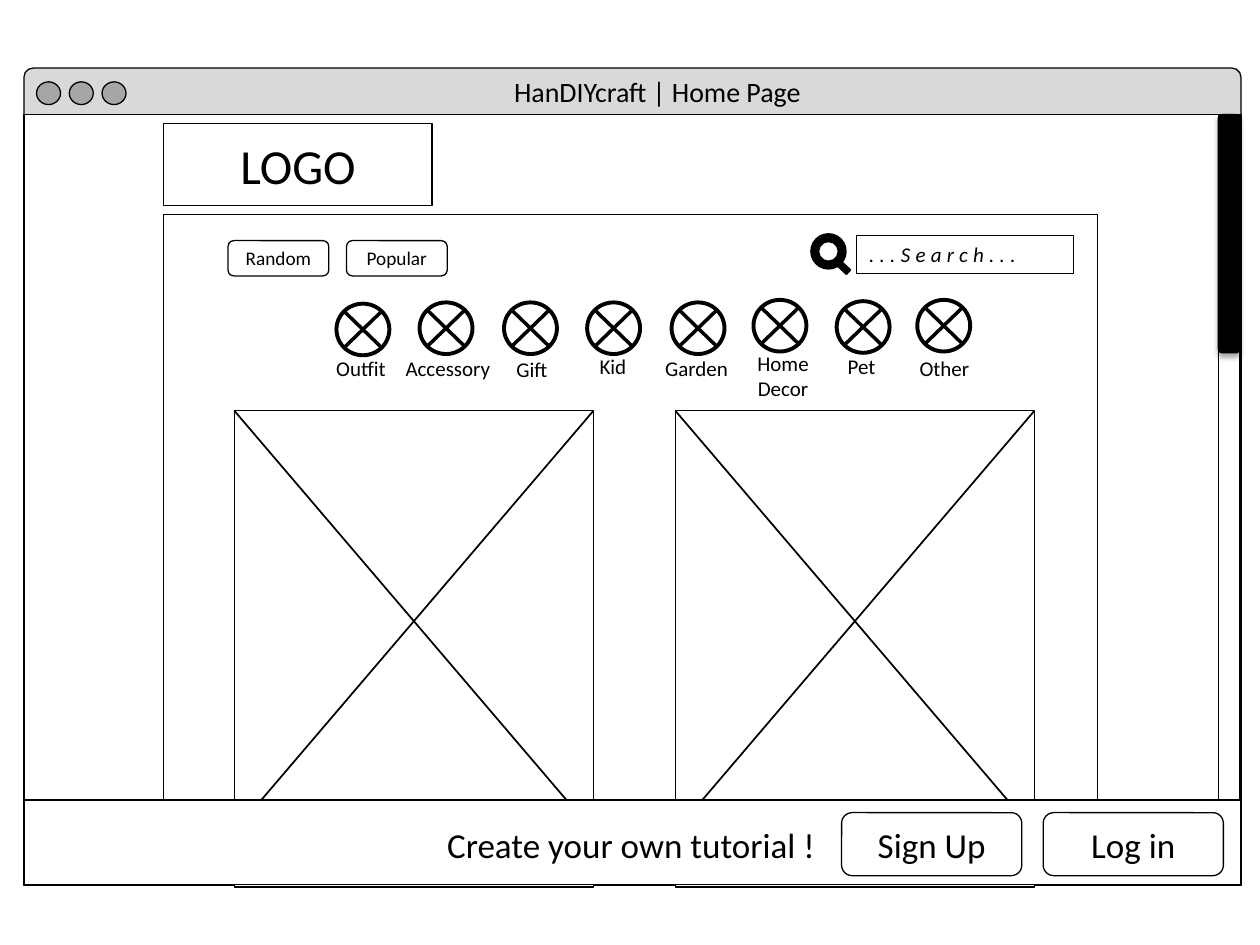
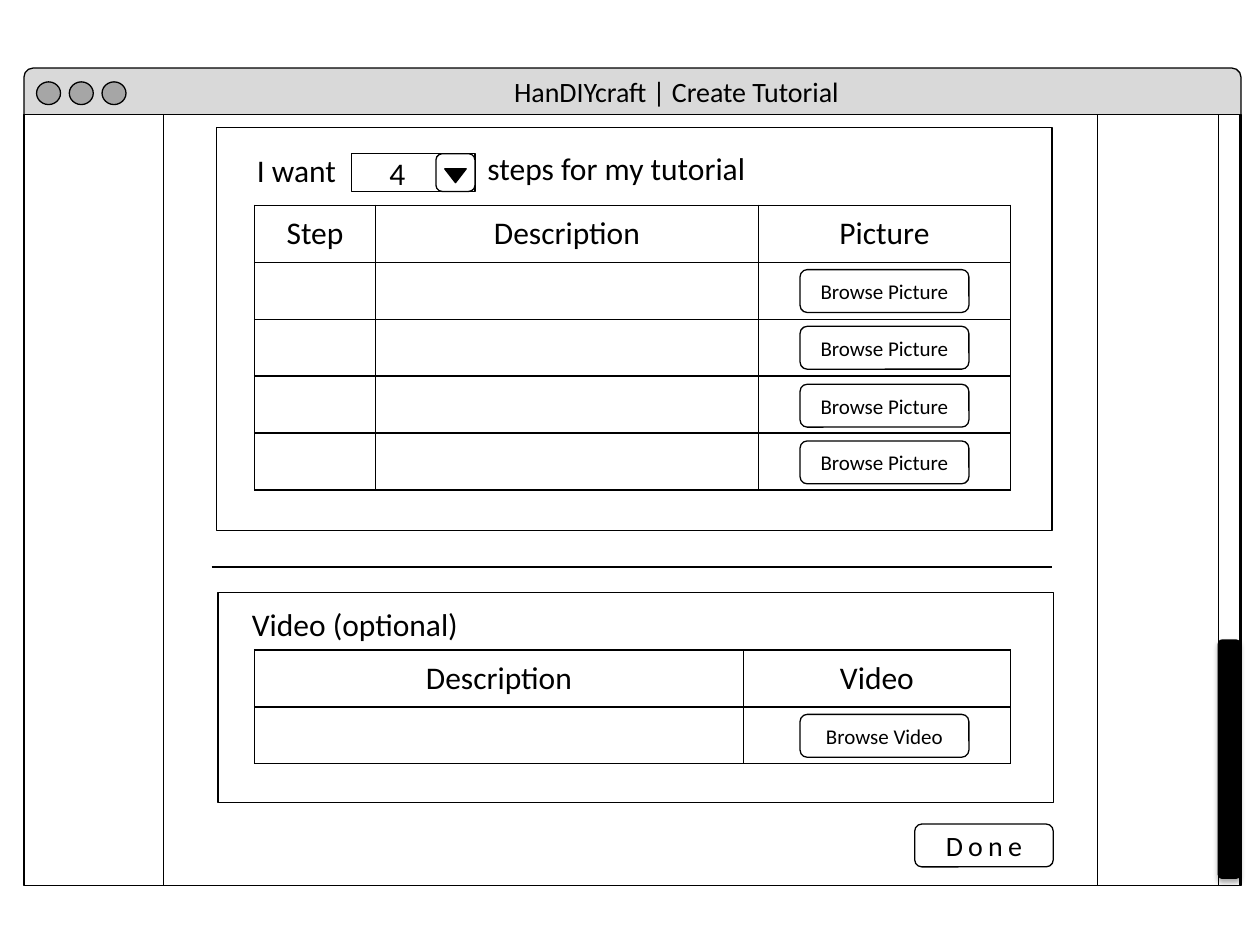
"""Build two wireframe slides of a craft site: its home page and its tutorial form."""
from lxml import etree
from pptx import Presentation
from pptx.dml.color import RGBColor
from pptx.enum.shapes import MSO_CONNECTOR, MSO_SHAPE
from pptx.enum.text import MSO_ANCHOR, MSO_AUTO_SIZE, PP_ALIGN
from pptx.oxml import parse_xml
from pptx.oxml.ns import nsdecls, qn
from pptx.util import Inches, Pt

FONT, BLACK, WHITE = "Calibri", "000000", "FFFFFF"
BAR, DOT = "D9D9D9", "A6A6A6"
RECT, ROUND, OVAL = MSO_SHAPE.RECTANGLE, MSO_SHAPE.ROUNDED_RECTANGLE, MSO_SHAPE.OVAL
LEFT, MID = PP_ALIGN.LEFT, PP_ALIGN.CENTER


def box(slide, kind, spot, fill=None, line=0.75, text="", size=12, align=MID, space=0):
    """Add a shape, or a text box when kind is None, at spot in inches."""
    place = [Inches(n) for n in spot]
    if kind is None:
        shape = slide.shapes.add_textbox(*place)
    else:
        shape = slide.shapes.add_shape(kind, *place)
        shape.shadow.inherit = False
        if fill:
            shape.fill.solid()
            shape.fill.fore_color.rgb = RGBColor.from_string(fill)
        else:
            shape.fill.background()
        if line:
            shape.line.color.rgb = RGBColor.from_string(BLACK)
            shape.line.width = Pt(line)
        else:
            shape.line.fill.background()
    if text:
        frame = shape.text_frame
        frame.text = text
        frame.word_wrap = kind is not None
        frame.vertical_anchor = MSO_ANCHOR.TOP if kind is None else MSO_ANCHOR.MIDDLE
        for par in frame.paragraphs:
            par.alignment = align
            for run in par.runs:
                run.font.name, run.font.size = FONT, Pt(size)
                run.font.color.rgb = RGBColor.from_string(BLACK)
                if space:
                    run.font._element.set("spc", str(space * 100))
    return shape


def rule(slide, x1, y1, x2, y2, width=1):
    """Add a straight black line between two points in inches."""
    line = slide.shapes.add_connector(
        MSO_CONNECTOR.STRAIGHT, Inches(x1), Inches(y1), Inches(x2), Inches(y2))
    line.line.color.rgb = RGBColor.from_string(BLACK)
    line.line.width = Pt(width)
    etree.SubElement(line.element.spPr, qn("a:effectLst"))


deck = Presentation()
deck.slide_width, deck.slide_height = Inches(10), Inches(7.5)

pages = []
for name, top, track, thumb in [
    ("HanDIYcraft | Home Page", 1.7, 5.44, 0.91),
    ("HanDIYcraft | Create Tutorial", 0.91, 6.12, 5.08),
]:
    slide = deck.slides.add_slide(deck.slide_layouts[5])
    pages.append(slide)
    box(slide, ROUND, (0.19, 0.54, 9.66, 0.44), BAR)
    box(slide, RECT, (0.19, 0.91, 9.66, 6.12), WHITE)
    for i in range(3):
        box(slide, OVAL, (0.29 + 0.26 * i, 0.65, 0.19, 0.18), DOT)
    box(slide, RECT, (1.3, top, 7.41, 7.03 - top), WHITE)
    box(slide, RECT, (9.67, 0.91, 0.17, track), WHITE)
    grip = box(slide, ROUND, (9.67, thumb, 0.17, 1.89), BLACK)
    grip.element.spPr.find(qn("a:effectLst")).append(parse_xml(
        f'<a:outerShdw {nsdecls("a")} blurRad="40000" dist="23000" dir="5400000" '
        'rotWithShape="0"><a:srgbClr val="000000"><a:alpha val="35000"/>'
        '</a:srgbClr></a:outerShdw>'))

    title = slide.shapes.title
    title.left, title.top = Inches(3.98), Inches(0.54)
    title.width, title.height = Inches(3), Inches(0.37)
    title.element.getparent().append(title.element)
    frame = title.text_frame
    frame.text = name
    frame.auto_size = MSO_AUTO_SIZE.NONE
    frame.word_wrap = True
    frame.vertical_anchor = MSO_ANCHOR.TOP
    frame.paragraphs[0].alignment = LEFT
    font = frame.paragraphs[0].runs[0].font
    font.name, font.size = FONT, Pt(16)
    font.color.rgb = RGBColor.from_string(BLACK)

home, form = pages

for x in (1.86, 5.36):
    box(home, RECT, (x, 3.26, 2.85, 3.78), WHITE)
    rule(home, x, 3.26, x + 2.85, 6.6)
    rule(home, x, 6.6, x + 2.85, 3.26)

box(home, RECT, (1.3, 0.98, 2.13, 0.65), WHITE, text="LOGO", size=28)
box(home, ROUND, (6.78, 1.89, 1.75, 0.38), WHITE, 0)
search = box(home, RECT, (6.8, 1.87, 1.72, 0.3), text="...Search...", align=LEFT, space=3)
search.text_frame.vertical_anchor = MSO_ANCHOR.TOP
search.text_frame.paragraphs[0].runs[0].font.italic = True
box(home, MSO_SHAPE.DONUT, (6.43, 1.85, 0.29, 0.29), BLACK, 0)
box(home, ROUND, (6.6, 2.08, 0.16, 0.06), BLACK, 0).rotation = 43.1
for x, word in [(1.81, "Random"), (2.75, "Popular")]:
    box(home, ROUND, (x, 1.91, 0.8, 0.28), text=word, size=11)

for word, x, y, left, top, width in [
    ("Outfit", 2.67, 2.41, 2.57, 2.77, 0.6),
    ("Accessory", 3.33, 2.4, 3.12, 2.77, 0.89),
    ("Gift", 4, 2.4, 4, 2.78, 0.45),
    ("Kid", 4.66, 2.4, 4.66, 2.76, 0.42),
    ("Garden", 5.33, 2.4, 5.18, 2.77, 0.71),
    ("Home\nDecor", 5.98, 2.38, 5.91, 2.73, 0.61),
    ("Pet", 6.64, 2.39, 6.63, 2.76, 0.43),
    ("Other", 7.28, 2.38, 7.2, 2.77, 0.6),
]:
    box(home, OVAL, (x, y, 0.42, 0.41), line=2.25)
    rule(home, x + 0.06, y + 0.06, x + 0.36, y + 0.35, 2)
    rule(home, x + 0.06, y + 0.35, x + 0.36, y + 0.06, 2)
    lines = "\n" in word
    box(home, None, (left, top, width, 0.5 if lines else 0.3), text=word,
        align=MID if lines else LEFT)

box(home, RECT, (0.19, 6.35, 9.66, 0.67), WHITE)
call = box(home, None, (3.45, 6.49, 3.42, 0.44), text="Create your own tutorial !",
           size=20, align=LEFT)
call.text_frame.word_wrap = True
for x, word in [(6.68, "Sign Up"), (8.28, "Log in")]:
    box(home, ROUND, (x, 6.45, 1.43, 0.5), text=word, size=20)

box(form, RECT, (1.72, 1.01, 6.63, 3.2))
box(form, RECT, (1.73, 4.7, 6.63, 1.67))
rule(form, 1.68, 4.5, 8.35, 4.5)

for top, high, count, heads in [
    (1.63, 2.26, 5, [("Step", 0.96), ("Description", 3.04), ("Picture", 2)]),
    (5.16, 0.9, 2, [("Description", 3.88), ("Video", 2.12)]),
]:
    grid = form.shapes.add_table(
        count, len(heads), Inches(2.02), Inches(top), Inches(6), Inches(high)).table
    grid.first_row = grid.horz_banding = False
    for col, (word, width) in enumerate(heads):
        grid.columns[col].width = Inches(width)
        grid.cell(0, col).text = word
    for cell in grid.iter_cells():
        cell.vertical_anchor = MSO_ANCHOR.MIDDLE
        cell.fill.solid()
        cell.fill.fore_color.rgb = RGBColor.from_string(WHITE)
        par = cell.text_frame.paragraphs[0]
        par.alignment = MID
        for run in par.runs:
            run.font.name, run.font.size, run.font.bold = FONT, Pt(18), False
            run.font.color.rgb = RGBColor.from_string(BLACK)
        for i, side in enumerate("LRTB"):
            cell._tc.get_or_add_tcPr().insert(i, parse_xml(
                f'<a:ln{side} {nsdecls("a")} w="12700"><a:solidFill>'
                f'<a:srgbClr val="{BLACK}"/></a:solidFill></a:ln{side}>'))

steps = box(form, RECT, (2.79, 1.22, 0.98, 0.3), WHITE, text="4", size=18, align=LEFT, space=3)
steps.text_frame.margin_left = Inches(0.3)
box(form, ROUND, (3.46, 1.22, 0.31, 0.3), WHITE)
box(form, MSO_SHAPE.ISOSCELES_TRIANGLE, (3.53, 1.34, 0.17, 0.11), BLACK).rotation = 180
for x, y, width, word in [
    (1.94, 1.15, 0.85, "I want"),
    (3.77, 1.13, 2.29, "steps for my tutorial"),
    (1.9, 4.75, 1.91, "Video (optional)"),
]:
    box(form, None, (x, y, width, 0.4), text=word, size=18, align=LEFT)

for y in (2.14, 2.59, 3.05, 3.5, 5.67):
    word = "Browse Picture" if y < 5 else "Browse Video"
    box(form, ROUND, (6.35, y, 1.34, 0.34), text=word)
box(form, ROUND, (7.26, 6.54, 1.1, 0.34), text="Done", size=16, space=3)

deck.save("out.pptx")
